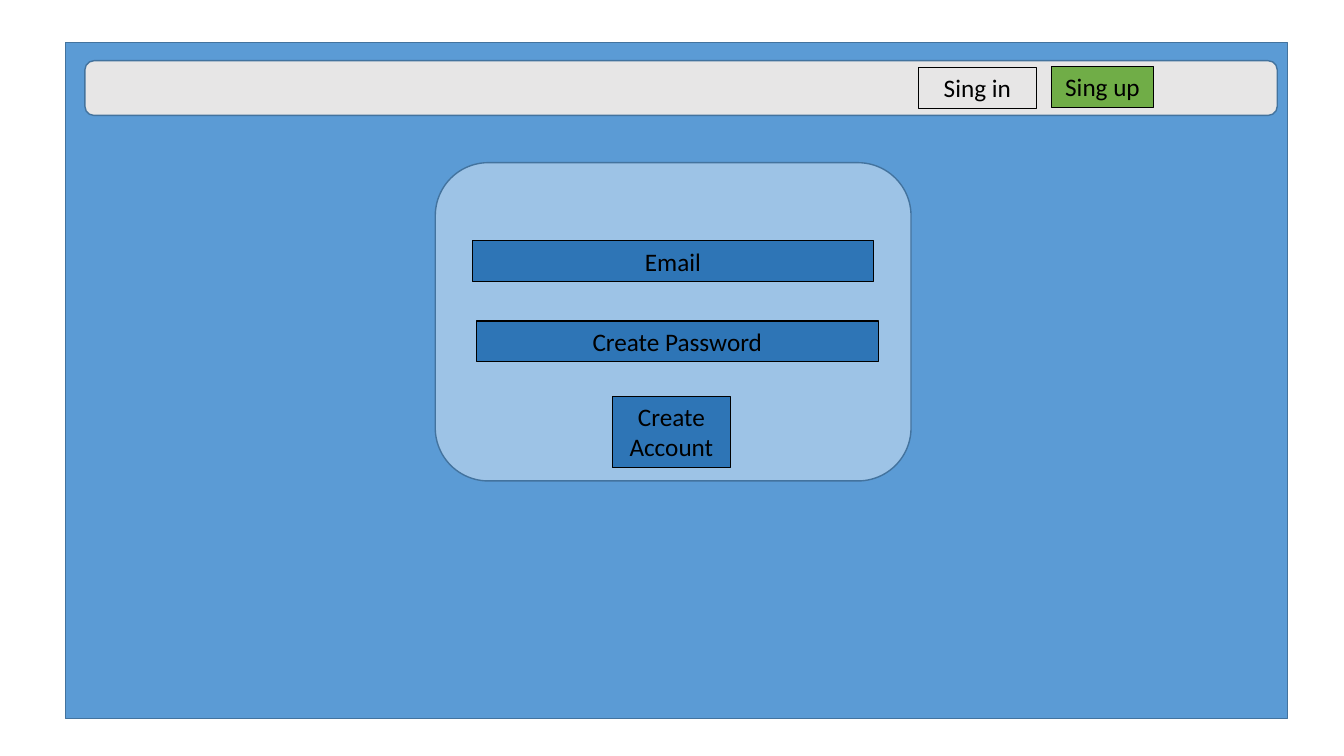
from pptx import Presentation
from pptx.dml.color import RGBColor
from pptx.enum.shapes import MSO_SHAPE as Shape
from pptx.enum.text import MSO_ANCHOR as Anchor, PP_ALIGN as Align
from pptx.util import Cm, Pt

COLORS = {
    "page": "5B9BD5",
    "bar": "E7E6E6",
    "sign_up": "70AD47",
    "card": "9DC3E6",
    "field": "2E75B6",
    "outline": "43739E",
    "black": "000000",
}

deck = Presentation()
deck.slide_width = Cm(33.87)
deck.slide_height = Cm(19.05)
slide = deck.slides.add_slide(deck.slide_layouts[6])


def add_box(kind, bounds, fill, line, line_width):
    box = slide.shapes.add_shape(kind, *[Cm(length) for length in bounds])
    box.shadow.inherit = False
    box.fill.solid()
    box.fill.fore_color.rgb = RGBColor.from_string(COLORS[fill])
    box.line.color.rgb = RGBColor.from_string(COLORS[line])
    box.line.width = Pt(line_width)
    return box


panels = [
    (Shape.RECTANGLE, (1.65, 1.07, 30.8, 17.04), "page"),
    (Shape.ROUNDED_RECTANGLE, (2.14, 1.53, 30.05, 1.38), "bar"),
    (Shape.ROUNDED_RECTANGLE, (10.97, 4.1, 11.99, 8.02), "card"),
]
for kind, bounds, fill in panels:
    add_box(kind, bounds, fill, "outline", 1)

labels = [
    ("Sing up", (26.5, 1.68, 2.57, 1.02), "sign_up"),
    ("Sing in", (23.14, 1.71, 2.98, 1.02), "bar"),
    ("Email", (11.9, 6.07, 10.12, 1.02), "field"),
    ("Create Password", (12.01, 8.09, 10.12, 1.02), "field"),
    ("Create Account", (15.43, 9.99, 2.98, 1.8), "field"),
]
for text, bounds, fill in labels:
    box = add_box(Shape.RECTANGLE, bounds, fill, "black", 0.75)
    frame = box.text_frame
    frame.word_wrap = True
    frame.vertical_anchor = Anchor.TOP
    para = frame.paragraphs[0]
    para.text = text
    para.alignment = Align.CENTER
    para.font.name = "Calibri"
    para.font.size = Pt(18)
    para.font.color.rgb = RGBColor.from_string(COLORS["black"])

deck.save("out.pptx")
